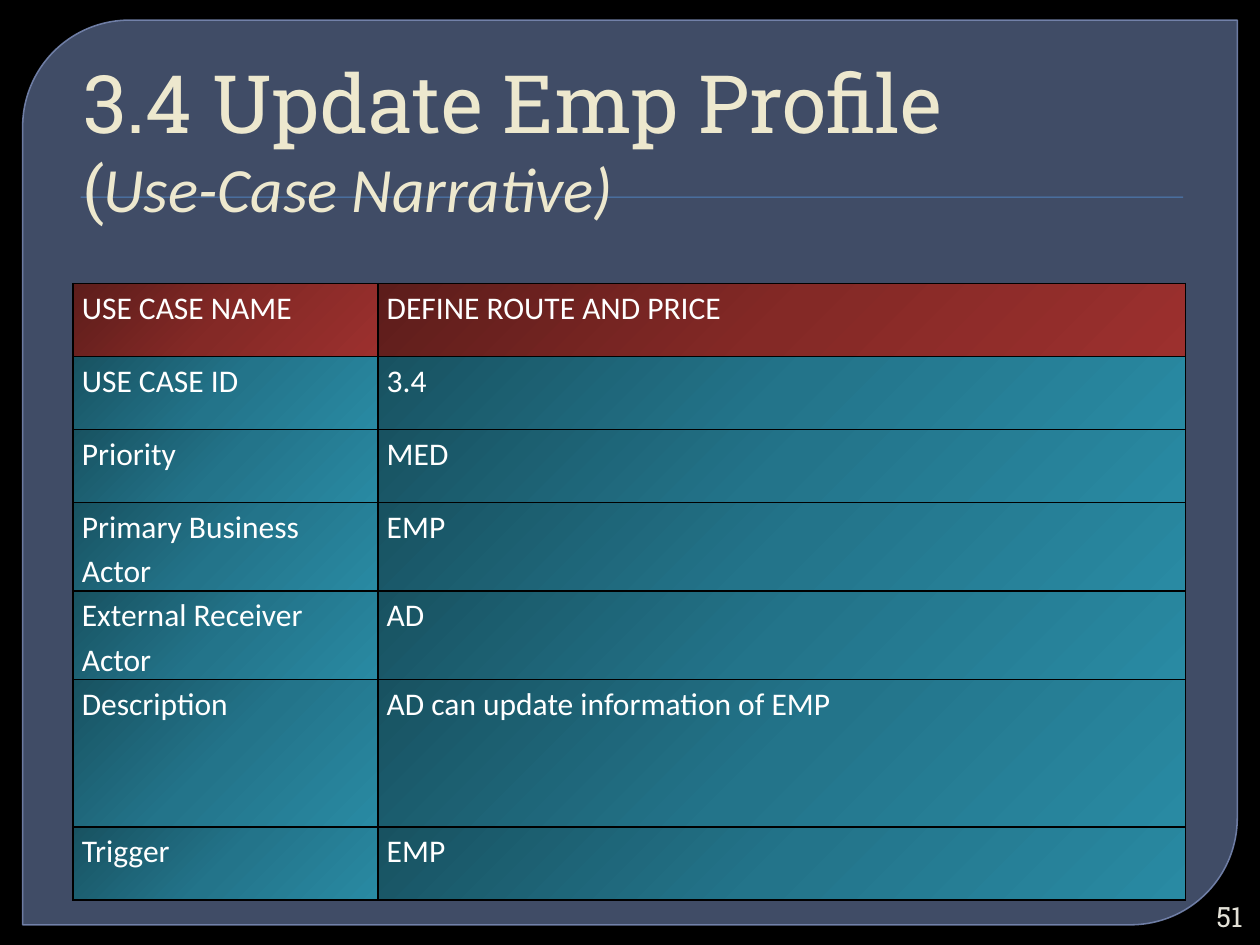
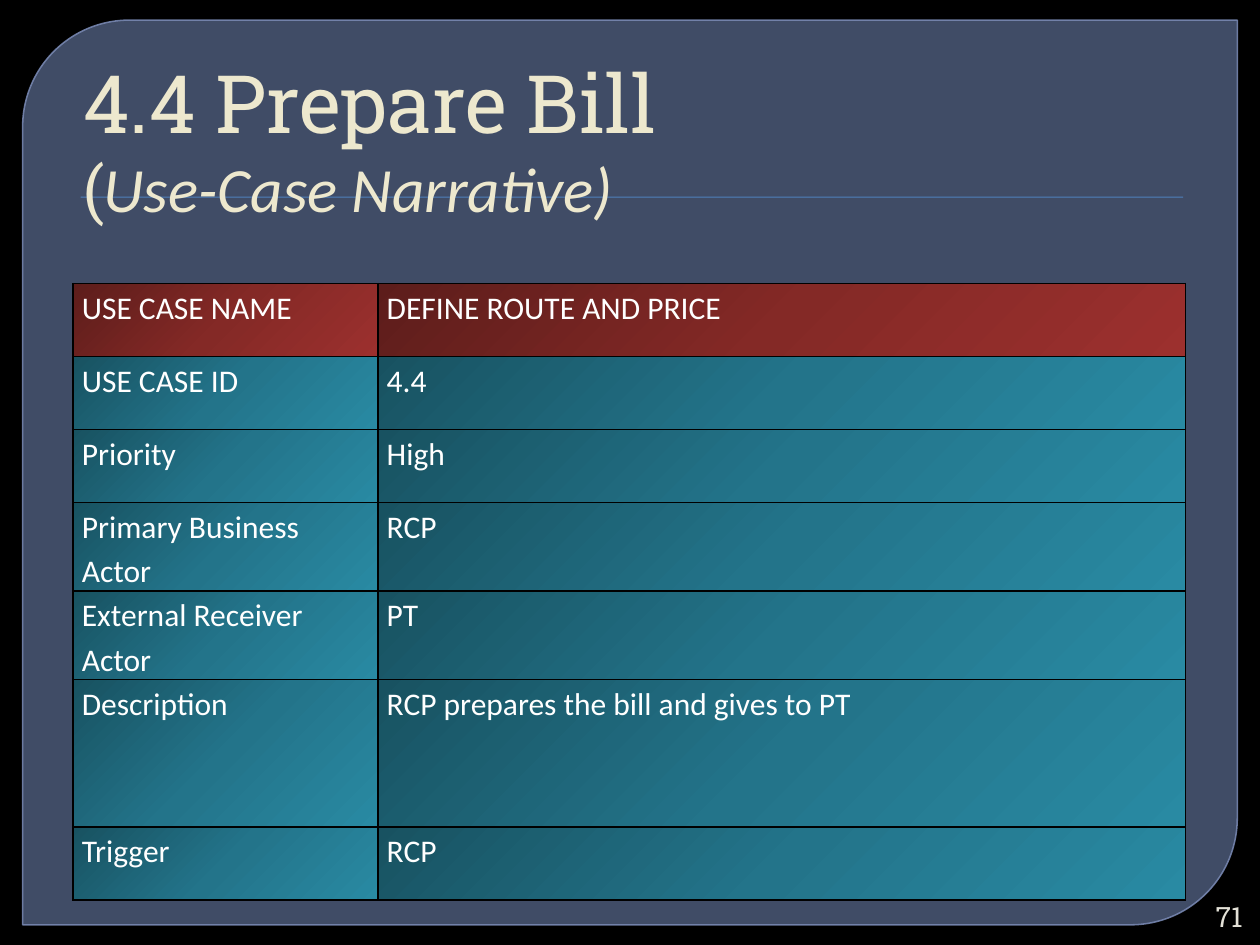
from dataclasses import dataclass
from lxml import etree
from pptx import Presentation
from pptx import util as u
from pptx.dml import color as col
from pptx.enum import shapes, text
from pptx.oxml import ns


@dataclass(frozen=True)
class Theme:
    """Colours, fonts and type sizes of the deck."""
    back: str = "000000"
    panel: str = "63759D"
    edge: str = "7989B3"
    rule: str = "4F81BD"
    title: str = "EDE8CE"
    page: str = "E3E1D7"
    ink: str = "FFFFFF"
    grid: str = "000000"
    head: tuple = ("5D1D1B", "842926", "9C302E")
    body: tuple = ("185261", "23748A", "298AA3")
    slab: str = "Roboto Slab"
    sans: str = "Calibri"
    big: int = 46
    sub: int = 36
    cell: int = 18
    small: int = 16


def put(obj, **form):
    """Set attributes from a dict of format values."""
    for key, val in form.items():
        setattr(obj, key, val)


def rgb(code):
    """Turn a hex code into a colour."""
    return col.RGBColor.from_string(code)


def node(parent, tag, **attrs):
    """Add a drawing element with its attributes."""
    item = etree.SubElement(parent, ns.qn("a:" + tag))
    for key, val in attrs.items():
        item.set(key, str(val))
    return item


def fade(fill, share):
    """Make a solid colour see-through, share being the opacity in percent."""
    paint = fill._xPr.find(ns.qn("a:solidFill"))
    node(paint[0], "alpha", val=share * 1000)


class Deck:
    """Hold the style and the current slide, with a method per element."""

    def __init__(self, theme):
        """Open an empty deck of the right size."""
        self.theme = theme
        self.prs = Presentation()
        put(self.prs, slide_width=u.Inches(10), slide_height=u.Inches(7.5))
        self.slide = None

    def box(self, *at):
        """Turn left, top, width and height into lengths."""
        return [u.Inches(n) for n in at]

    def run(self, para, words, size, face, tint, **form):
        """Add a run of formatted text."""
        run = para.add_run()
        run.text = words
        put(run.font, size=u.Pt(size), name=face, **form)
        run.font.color.rgb = rgb(tint)

    def shape(self, kind, tint, *at):
        """Add a plain filled shape."""
        shape = self.slide.shapes.add_shape(kind, *self.box(*at))
        shape.shadow.inherit = False
        shape.fill.solid()
        shape.fill.fore_color.rgb = rgb(tint)
        shape.line.fill.background()
        return shape

    def frame(self):
        """Add a slide with the background, panel and rule."""
        look = self.theme
        self.slide = self.prs.slides.add_slide(self.prs.slide_layouts[5])
        back = self.slide.background.fill
        back.solid()
        back.fore_color.rgb = rgb(look.back)
        kind = shapes.MSO_SHAPE
        panel = self.shape(kind.ROUND_2_DIAG_RECTANGLE, look.panel,
                           0.18, 0.16, 9.64, 7.18)
        panel.adjustments[0] = 0.118
        panel.adjustments[1] = 0
        panel.line.color.rgb = rgb(look.edge)
        panel.line.width = u.Pt(0.87)
        fade(panel.fill, 65)
        fade(panel.line.fill, 88)
        rule = self.shape(kind.RECTANGLE, look.rule, 0.64, 1.56, 8.75, 0.01)
        glow = rule._element.spPr.find(ns.qn("a:effectLst"))
        drop = node(glow, "outerShdw", blurRad=u.Pt(1), dist=u.Pt(1),
                    dir=5400000)
        node(node(drop, "srgbClr", val=look.back), "alpha", val=75000)

    def title(self, name, note):
        """Move and fill the title, in front of the panel."""
        look = self.theme
        title = self.slide.shapes.title
        self.slide.shapes._spTree.append(title._element)
        left, top, width, height = self.box(0.5, 0.28, 9, 1.56)
        put(title, left=left, top=top, width=width, height=height)
        put(title.text_frame, vertical_anchor=text.MSO_ANCHOR.BOTTOM,
            auto_size=text.MSO_AUTO_SIZE.NONE, word_wrap=True)
        para = title.text_frame.paragraphs[0]
        para.alignment = text.PP_ALIGN.LEFT
        props = para._p.get_or_add_pPr()
        props.set("marL", str(u.Inches(0.06)))
        props.set("indent", "0")
        self.run(para, name, look.big, look.slab, look.title)
        para.add_line_break()
        self.run(para, "(", look.sub, look.slab, look.title)
        self.run(para, note + ")", look.sub, look.sans, look.title, italic=True)

    def cell(self, cell, words, tints):
        """Fill a table cell with text, borders and a gradient."""
        look = self.theme
        side = u.Inches(0.07)
        put(cell, margin_left=side, margin_right=side, margin_top=0,
            margin_bottom=0)
        para = cell.text_frame.paragraphs[0]
        para.line_spacing = 1.15
        self.run(para, words, look.cell, look.sans, look.ink, bold=False)
        props = cell._tc.get_or_add_tcPr()
        for edge in ("lnL", "lnR", "lnT", "lnB"):
            line = node(props, edge, w=u.Pt(1))
            node(node(line, "solidFill"), "srgbClr", val=look.grid)
        grad = node(props, "gradFill", rotWithShape=1)
        stops = node(grad, "gsLst")
        for step, tint in enumerate(tints):
            stop = node(stops, "gs", pos=step * 50000)
            node(stop, "srgbClr", val=tint)
        node(grad, "lin", ang=2700000, scaled=0)

    def table(self, rows):
        """Add the two-column table of the use case."""
        look = self.theme
        wide = (2.42, 6.41)
        high = [1.17 if key == "Description" else 0.58 for key, _ in rows]
        at = self.box(0.58, 2.25, sum(wide), sum(high))
        table = self.slide.shapes.add_table(len(rows), len(wide), *at).table
        for part, size in zip(table.columns, wide):
            part.width = u.Inches(size)
        for part, size in zip(table.rows, high):
            part.height = u.Inches(size)
        for r, row in enumerate(rows):
            for c, words in enumerate(row):
                self.cell(table.cell(r, c), words, look.body if r else look.head)

    def page(self, num):
        """Add the page number."""
        look = self.theme
        box = self.slide.shapes.add_textbox(*self.box(9.45, 7.12, 0.51, 0.3))
        put(box.text_frame, word_wrap=True,
            vertical_anchor=text.MSO_ANCHOR.MIDDLE)
        para = box.text_frame.paragraphs[0]
        para.alignment = text.PP_ALIGN.RIGHT
        self.run(para, str(num), look.small, look.slab, look.page)


KEYS = ("USE CASE NAME", "USE CASE ID", "Priority", "Primary Business Actor",
        "External Receiver Actor", "Description", "Trigger")
CASES = (
    (51, "Update Emp Profile",
     ("3.4", "MED", "EMP", "AD", "AD can update information of EMP", "EMP")),
    (71, "Prepare Bill",
     ("4.4", "High", "RCP", "PT", "RCP prepares the bill and gives to PT",
      "RCP")),
)


def main():
    """Build one slide for each use case."""
    deck = Deck(Theme())
    for num, name, vals in CASES:
        deck.frame()
        deck.title(f"{vals[0]} {name}", "Use-Case Narrative")
        deck.table(list(zip(KEYS, ("DEFINE ROUTE AND PRICE", *vals))))
        deck.page(num)
    deck.prs.save("out.pptx")


if __name__ == "__main__":
    main()
